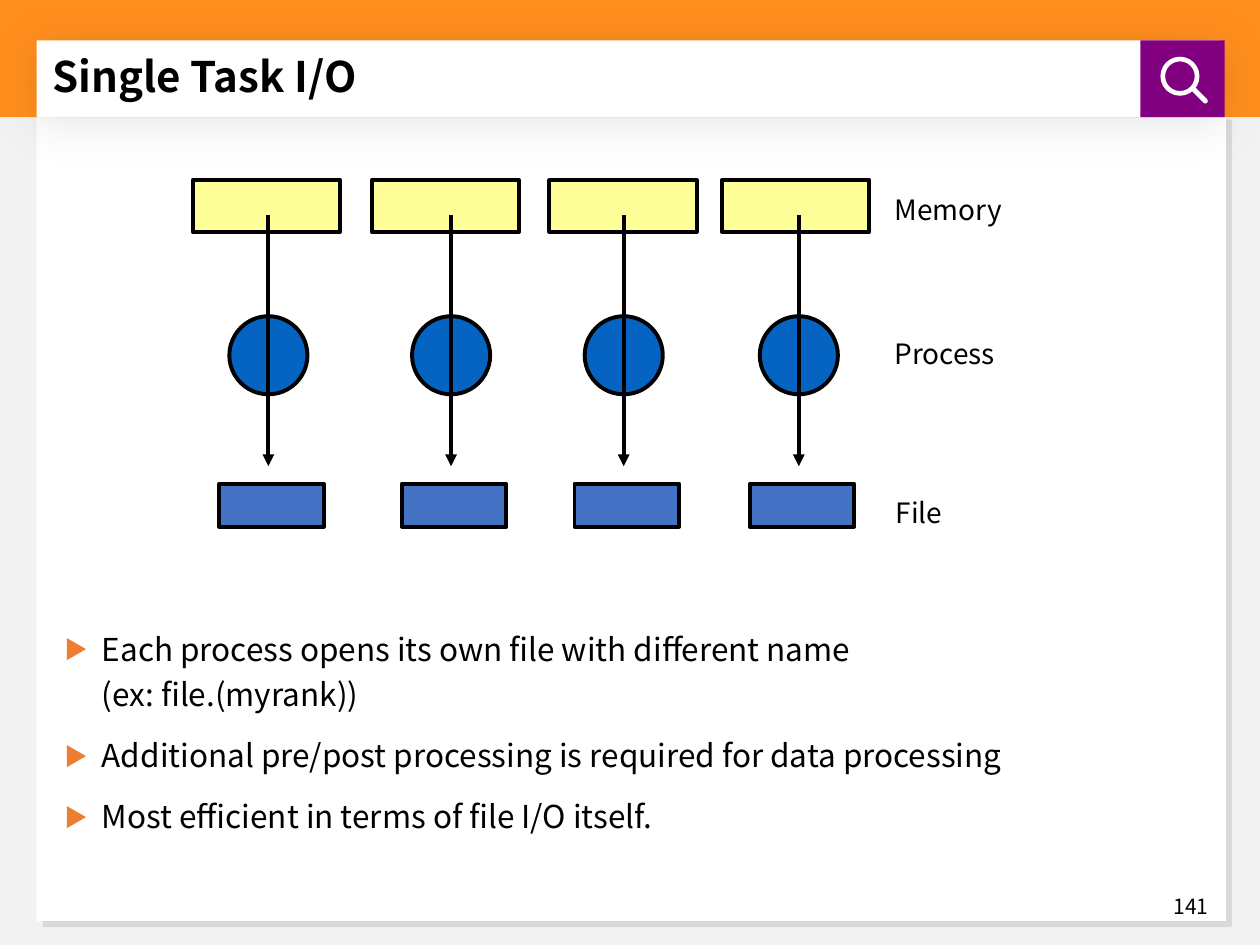
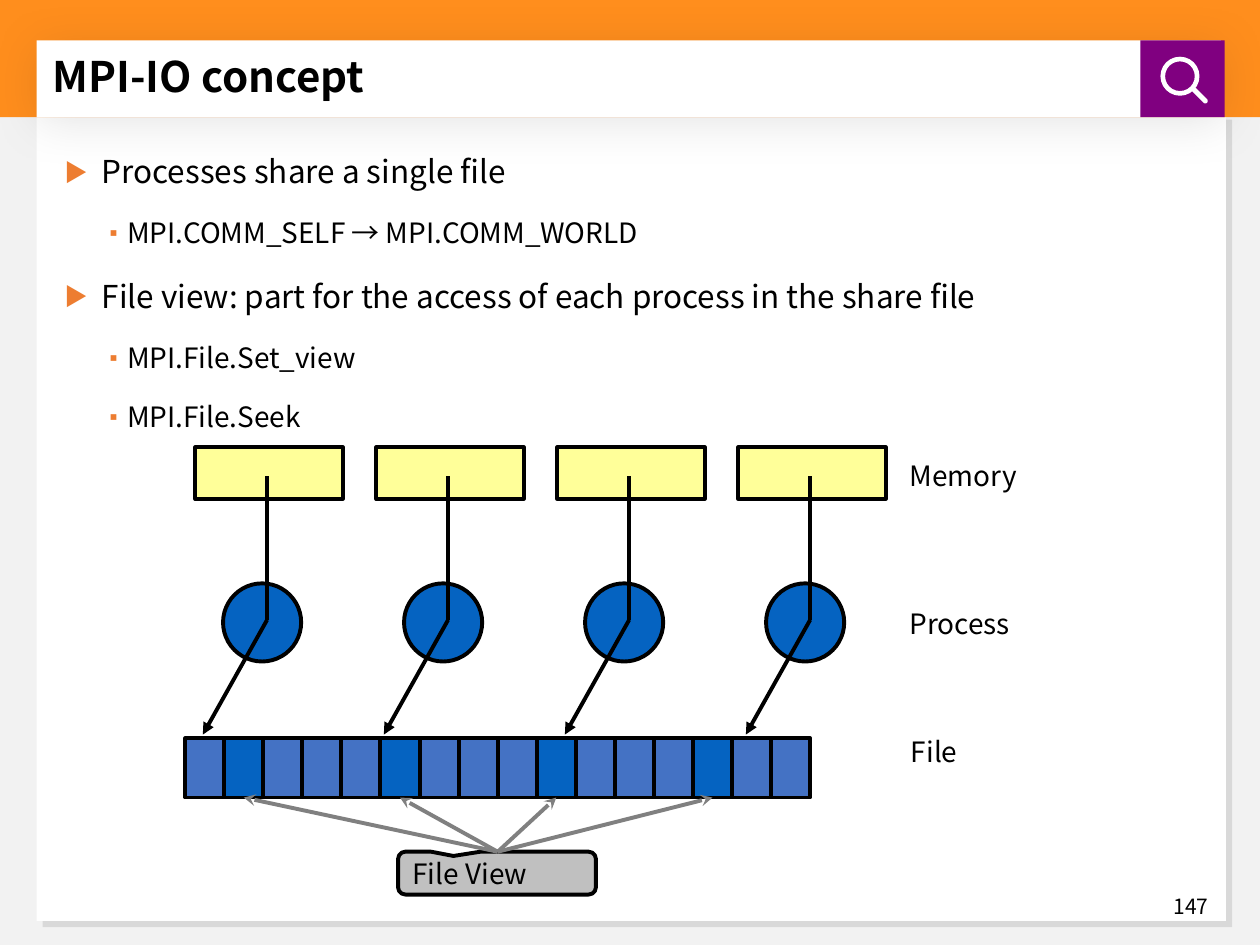
from lxml import etree
from pptx import Presentation
from pptx.dml.color import RGBColor
from pptx.enum.shapes import MSO_CONNECTOR, MSO_SHAPE
from pptx.enum.text import MSO_ANCHOR, PP_ALIGN
from pptx.oxml.ns import qn
from pptx.util import Inches, Pt

RECT, OVAL, DONUT = MSO_SHAPE.RECTANGLE, MSO_SHAPE.OVAL, MSO_SHAPE.DONUT
ROUNDED, CALLOUT = MSO_SHAPE.ROUNDED_RECTANGLE, MSO_SHAPE.ROUNDED_RECTANGULAR_CALLOUT
STRAIGHT = MSO_CONNECTOR.STRAIGHT
MIDDLE, TOP = MSO_ANCHOR.MIDDLE, MSO_ANCHOR.TOP
LEFT, RIGHT = PP_ALIGN.LEFT, PP_ALIGN.RIGHT


class Theme:
    font = "Noto Sans CJK KR"
    title, body, label, number = 24, 18, 16, 12
    outline = 2.25
    ink, paper, backdrop = "000000", "FFFFFF", "F2F2F2"
    band, badge, bullet = "FF8E1D", "800080", "ED7D31"
    memory, process, file = "FFFF99", "0563C1", "4472C4"
    note, pointer = "C0C0C0", "808080"


# Content: lengths in inches
COLUMNS = 4
PITCH = 4.31 / 3
SHARED_AXES = [2.12 + i * PITCH for i in range(COLUMNS)]

SINGLE_TASK = {
    "title": "Single Task I/O",
    "number": "141",
    "bullets": [
        (0, "Each process opens its own file with different name\n(ex: file.(myrank))"),
        (0, "Additional pre/post processing is required for data processing"),
        (0, "Most efficient in terms of file I/O itself."),
    ],
    "bullets_top": 4.89,
    "line_spacing": 1.2,
    "labels": [("Memory", 7.1, 1.55), ("Process", 7.1, 2.69), ("File", 7.11, 3.95)],
    "axes": [2.13, 3.58, 4.95, 6.34],
    "memory_lefts": [1.53, 2.95, 4.36, 5.73],
    "memory_top": 1.43,
    "process_shift": -0.31,
    "process_top": 2.51,
    "route": [(0, 1.71), (0, 3.7)],
}
MPI_IO = {
    "title": "MPI-IO concept",
    "number": "147",
    "bullets": [
        (0, "Processes share a single file"),
        (1, "MPI.COMM_SELF → MPI.COMM_WORLD"),
        (0, "File view: part for the access of each process in the share file"),
        (1, "MPI.File.Set_view"),
        (1, "MPI.File.Seek"),
    ],
    "bullets_top": 1.07,
    "line_spacing": 1.3,
    "labels": [("Memory", 7.22, 3.66), ("Process", 7.22, 4.83), ("File", 7.23, 5.85)],
    "axes": SHARED_AXES,
    "memory_lefts": [axis - 0.57 for axis in SHARED_AXES],
    "memory_top": 3.55,
    "process_shift": -0.35,
    "process_top": 4.63,
    "route": [(0, 3.78), (0, 4.92), (-0.51, 5.83)],
}
# Bullet levels: glyph, left margin, hanging indent, type size
LEVELS = [("▶", 0.39, 0.3, Theme.body), ("▪", 0.59, 0.19, Theme.label)]


# Drawing helpers
def rgb(colour):
    return RGBColor.from_string(colour)


def add_xml(parent, tag, **attributes):
    return etree.SubElement(parent, qn(tag), {k: str(v) for k, v in attributes.items()})


def add_part(slide, kind, box, fill, line=None, adjust=(), shadow=None):
    part = slide.shapes.add_shape(kind, *map(Inches, box))
    for i, value in enumerate(adjust):
        part.adjustments[i] = value
    part.fill.solid()
    part.fill.fore_color.rgb = rgb(fill)
    if line:
        part.line.color.rgb = rgb(line)
        part.line.width = Pt(Theme.outline)
    else:
        part.line.fill.background()
    part.shadow.inherit = False
    if shadow:
        blur, distance, angle = shadow
        effects = part._element.spPr.find(qn("a:effectLst"))
        outer = add_xml(effects, "a:outerShdw", blurRad=Pt(blur), dist=Pt(distance),
                        dir=angle * 60000, algn="ctr", rotWithShape=0)
        add_xml(add_xml(outer, "a:srgbClr", val=Theme.ink), "a:alpha", val=10000)
    return part


def add_line(slide, start, end, colour, head=None):
    line = slide.shapes.add_connector(STRAIGHT, *map(Inches, (*start, *end)))
    line.line.color.rgb = rgb(colour)
    line.line.width = Pt(Theme.outline)
    if head:
        add_xml(line.line._get_or_add_ln(), "a:tailEnd", type=head)
    add_xml(line._element.spPr, "a:effectLst")


def style(paragraph, size, bold=False):
    font = paragraph.font
    font.name, font.size, font.bold = Theme.font, Pt(size), bold
    font.color.rgb = rgb(Theme.ink)


def write(frame, text, size, align=LEFT, bold=False):
    frame.word_wrap = True
    frame.vertical_anchor = MIDDLE
    paragraph = frame.paragraphs[0]
    paragraph.text = text
    paragraph.alignment = align
    style(paragraph, size, bold)


def add_text(slide, box, *args, **options):
    frame = slide.shapes.add_textbox(*map(Inches, box)).text_frame
    write(frame, *args, **options)
    return frame


# Parts every slide shares
def add_frame(slide, title, number):
    add_part(slide, RECT, (0, 0.69, 10, 6.81), Theme.backdrop)
    add_part(slide, RECT, (0.29, 0.9, 9.44, 6.41), Theme.paper, shadow=(0, 5, 45))
    add_part(slide, RECT, (0, 0, 10, 0.93), Theme.band)
    add_part(slide, RECT, (0.29, 0.32, 9.4, 0.61), Theme.paper, shadow=(27, 3, 90))
    # Search badge
    add_part(slide, RECT, (9.05, 0.32, 0.67, 0.61), Theme.badge)
    add_part(slide, DONUT, (9.21, 0.45, 0.31, 0.31), Theme.paper, adjust=[0.12])
    handle = add_part(slide, ROUNDED, (9.5, 0.67, 0.04, 0.17), Theme.paper, adjust=[0.5])
    handle.rotation = 315
    # Title and page number
    heading = add_text(slide, (0.32, 0.35, 8.83, 0.55), title, Theme.title, bold=True)
    heading.paragraphs[0].line_spacing = 0.9
    add_text(slide, (7.51, 7.09, 2.18, 0.21), number, Theme.number, align=RIGHT)


def add_bullets(slide, bullets, top, line_spacing):
    box = slide.shapes.add_textbox(*map(Inches, (0.32, top, 9.37, 7.29 - top)))
    frame = box.text_frame
    frame.word_wrap = True
    frame.vertical_anchor = TOP
    for i, (level, text) in enumerate(bullets):
        glyph, margin, hanging, size = LEVELS[level]
        paragraph = frame.add_paragraph() if i else frame.paragraphs[0]
        paragraph.text = text
        paragraph.level = level
        paragraph.line_spacing = line_spacing
        paragraph.space_before = Pt(9 if i else 0)
        props = paragraph._p.get_or_add_pPr()
        props.set("marL", str(Inches(margin)))
        props.set("indent", str(-Inches(hanging)))
        add_xml(add_xml(props, "a:buClr"), "a:srgbClr", val=Theme.bullet)
        add_xml(props, "a:buSzPct", val=75000)
        add_xml(props, "a:buFont", typeface=Theme.font)
        add_xml(props, "a:buChar", char=glyph)
        style(paragraph, size)


# Memory, process and arrow of each column, with row labels
def add_columns(slide, scene):
    for label, left, top in scene["labels"]:
        frame = add_text(slide, (left, top, 1.11, 0.23), label, Theme.label)
        frame.margin_left = frame.margin_right = frame.margin_top = frame.margin_bottom = 0
    for axis, memory_left in zip(scene["axes"], scene["memory_lefts"]):
        add_part(slide, RECT, (memory_left, scene["memory_top"], 1.17, 0.41),
                 Theme.memory, Theme.ink)
        add_part(slide, OVAL, (axis + scene["process_shift"], scene["process_top"], 0.62, 0.62),
                 Theme.process, Theme.ink)
        stops = [(axis + shift, y) for shift, y in scene["route"]]
        for start, end in zip(stops, stops[1:]):
            add_line(slide, start, end, Theme.ink, "triangle" if end == stops[-1] else None)


def add_separate_files(slide):
    for axis in SINGLE_TASK["axes"]:
        add_part(slide, RECT, (axis - 0.39, 3.84, 0.83, 0.34), Theme.file, Theme.ink)


def add_shared_file(slide):
    left, top, width, height = 1.47, 5.86, 0.31, 0.47
    cells_per_process = 4
    for cell in range(COLUMNS * cells_per_process):
        viewed = cell % cells_per_process == 1
        add_part(slide, RECT, (left + cell * width, top, width, height),
                 Theme.process if viewed else Theme.file, Theme.ink)
    # File view note pointing at the viewed cells
    note = add_part(slide, CALLOUT, (3.16, 6.76, 1.57, 0.34), Theme.note, Theme.ink,
                    adjust=(-0.22, -0.4, 0.17))
    write(note.text_frame, "File View", Theme.label)
    for process in range(COLUMNS):
        target = left + (process * cells_per_process + 1.5) * width
        add_line(slide, (3.95, 6.76), (target, top + height), Theme.pointer, "stealth")


def main():
    deck = Presentation()
    deck.slide_width, deck.slide_height = Inches(10), Inches(7.5)
    for scene, add_files in ((SINGLE_TASK, add_separate_files), (MPI_IO, add_shared_file)):
        slide = deck.slides.add_slide(deck.slide_layouts[6])
        add_frame(slide, scene["title"], scene["number"])
        add_bullets(slide, scene["bullets"], scene["bullets_top"], scene["line_spacing"])
        add_columns(slide, scene)
        add_files(slide)
    deck.save("out.pptx")


if __name__ == "__main__":
    main()
